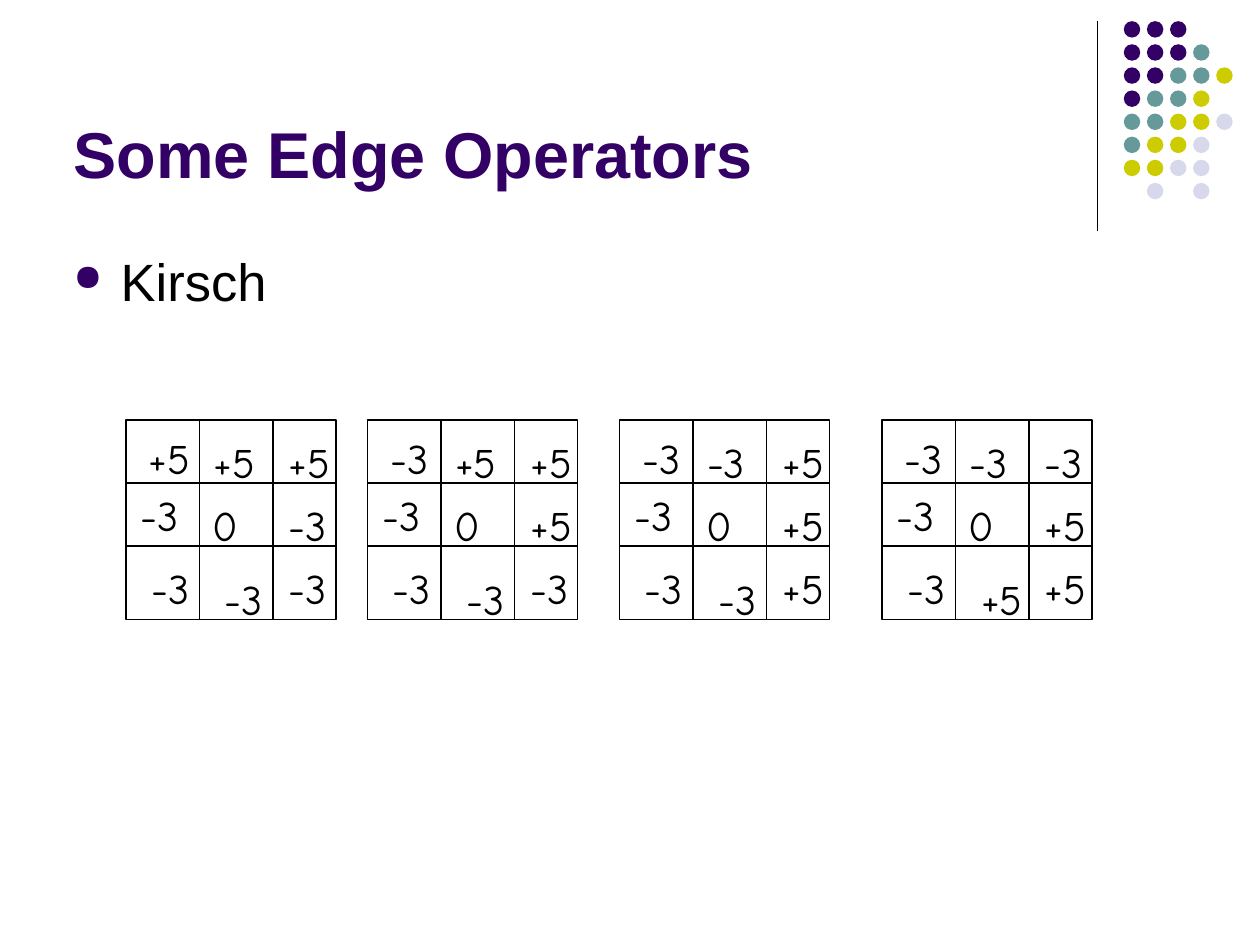
from lxml.etree import SubElement
from pptx import Presentation
from pptx.dml.color import RGBColor
from pptx.enum.shapes import MSO_CONNECTOR, MSO_SHAPE
from pptx.enum.text import MSO_ANCHOR, MSO_AUTO_SIZE
from pptx.oxml.ns import qn
from pptx.util import Pt

BLACK = RGBColor(0x00, 0x00, 0x00)
PURPLE = RGBColor(0x33, 0x00, 0x66)
TEAL = RGBColor(0x66, 0x99, 0x99)
OLIVE = RGBColor(0xCC, 0xCC, 0x00)
LAVENDER = RGBColor(0xD8, 0xD8, 0xEC)

# Dot pattern, one letter per dot
DOT_COLORS = {"P": PURPLE, "T": TEAL, "O": OLIVE, "L": LAVENDER}
DOT_ROWS = ["PPP", "PPPT", "PPTTO", "PTTO", "TTOOL", "TOOL", "OOLL", " L L"]
DOT_LEFT, DOT_TOP, DOT_PITCH, DOT_SIZE = 642.2, 12.1, 13.2, 9.4

# Kirsch masks: left edge and values, row by row
MASK_TOP, MASK_WIDTH, MASK_HEIGHT = 240, 120, 114
COLUMN_LINES = [42, 84]
ROW_LINES = [36, 72]
MASKS = [
    (72, ["+5", "+5", "+5", "-3", "0", "-3", "-3", "-3", "-3"]),
    (210, ["-3", "+5", "+5", "-3", "0", "+5", "-3", "-3", "-3"]),
    (354, ["-3", "-3", "+5", "-3", "0", "+5", "-3", "-3", "+5"]),
    (504, ["-3", "-3", "-3", "-3", "0", "+5", "-3", "+5", "+5"]),
]
# Label positions inside a mask, and label width by first character
LABEL_OFFSETS = [
    (6, 3.5), (43, 6), (86, 6),
    (1.5, 36), (42.5, 42), (86, 42),
    (7.5, 78), (49.5, 84), (86, 78),
]
LABEL_WIDTHS = {"+": 38, "-": 36, "0": 29}


def add_line(shapes, x1, y1, x2, y2):
    line = shapes.add_connector(MSO_CONNECTOR.STRAIGHT, Pt(x1), Pt(y1), Pt(x2), Pt(y2))
    line.line.color.rgb = BLACK
    line.line.width = Pt(0.75)
    SubElement(line._element.spPr, qn("a:effectLst"))


def add_run(paragraph, text, size, font_name, color, bold=False):
    run = paragraph.add_run()
    run.text = text
    run.font.size = Pt(size)
    run.font.name = font_name
    run.font.color.rgb = color
    run.font.bold = bold


def add_text_box(shapes, left, top, width, height, wrap=True):
    text_box = shapes.add_textbox(Pt(left), Pt(top), Pt(width), Pt(height))
    text_box.text_frame.word_wrap = wrap
    return text_box.text_frame


def add_bullet(paragraph, indent, color, percent):
    properties = paragraph._p.get_or_add_pPr()
    properties.set("marL", str(Pt(indent)))
    properties.set("indent", str(-Pt(indent)))
    bullet_color = SubElement(properties, qn("a:buClr"))
    SubElement(bullet_color, qn("a:srgbClr"), val=str(color))
    SubElement(properties, qn("a:buSzPct"), val=str(percent * 1000))
    SubElement(properties, qn("a:buChar"), char="●")


def add_dots(slide):
    group = slide.shapes.add_group_shape()
    for row, letters in enumerate(DOT_ROWS):
        for column, letter in enumerate(letters):
            if letter not in DOT_COLORS:
                continue
            dot = group.shapes.add_shape(
                MSO_SHAPE.OVAL,
                Pt(DOT_LEFT + column * DOT_PITCH), Pt(DOT_TOP + row * DOT_PITCH),
                Pt(DOT_SIZE), Pt(DOT_SIZE))
            dot.shadow.inherit = False
            dot.fill.solid()
            dot.fill.fore_color.rgb = DOT_COLORS[letter]
            dot.line.fill.background()


def add_title(slide, text):
    frame = add_text_box(slide.shapes, 36, 9.5, 594, 102)
    frame.vertical_anchor = MSO_ANCHOR.BOTTOM
    frame.margin_left = Pt(6)
    frame.margin_bottom = Pt(2)
    add_run(frame.paragraphs[0], text, 37, "Arial", PURPLE, bold=True)


def add_body(slide, text):
    frame = add_text_box(slide.shapes, 36, 135, 648, 347)
    frame.margin_left = Pt(6)
    frame.margin_top = Pt(7)
    paragraph = frame.paragraphs[0]
    add_bullet(paragraph, 27, PURPLE, 70)
    add_run(paragraph, text, 30, "Arial", BLACK)


def add_mask(slide, left, values):
    shapes = slide.shapes.add_group_shape().shapes
    right, bottom = left + MASK_WIDTH, MASK_TOP + MASK_HEIGHT

    # Frame and grid lines
    frame = shapes.add_shape(
        MSO_SHAPE.RECTANGLE, Pt(left), Pt(MASK_TOP), Pt(MASK_WIDTH), Pt(MASK_HEIGHT))
    frame.shadow.inherit = False
    frame.fill.background()
    frame.line.color.rgb = BLACK
    frame.line.width = Pt(0.75)
    for offset in COLUMN_LINES:
        add_line(shapes, left + offset, MASK_TOP, left + offset, bottom)
    for offset in ROW_LINES:
        add_line(shapes, left, MASK_TOP + offset, right, MASK_TOP + offset)

    # Weights
    for value, (x, y) in zip(values, LABEL_OFFSETS):
        label = add_text_box(
            shapes, left + x, MASK_TOP + y, LABEL_WIDTHS[value[0]], 36, wrap=False)
        label.auto_size = MSO_AUTO_SIZE.SHAPE_TO_FIT_TEXT
        add_run(label.paragraphs[0], value, 24, "Comic Neue", BLACK)


def main():
    presentation = Presentation()
    presentation.slide_width = Pt(720)
    presentation.slide_height = Pt(540)
    slide = presentation.slides.add_slide(presentation.slide_layouts[6])

    # Corner decoration
    add_line(slide.shapes, 627, 12, 627, 132)
    add_dots(slide)

    # Text
    add_title(slide, "Some Edge Operators")
    add_body(slide, "Kirsch")

    # Operator masks
    for left, values in MASKS:
        add_mask(slide, left, values)

    presentation.save("out.pptx")


if __name__ == "__main__":
    main()
